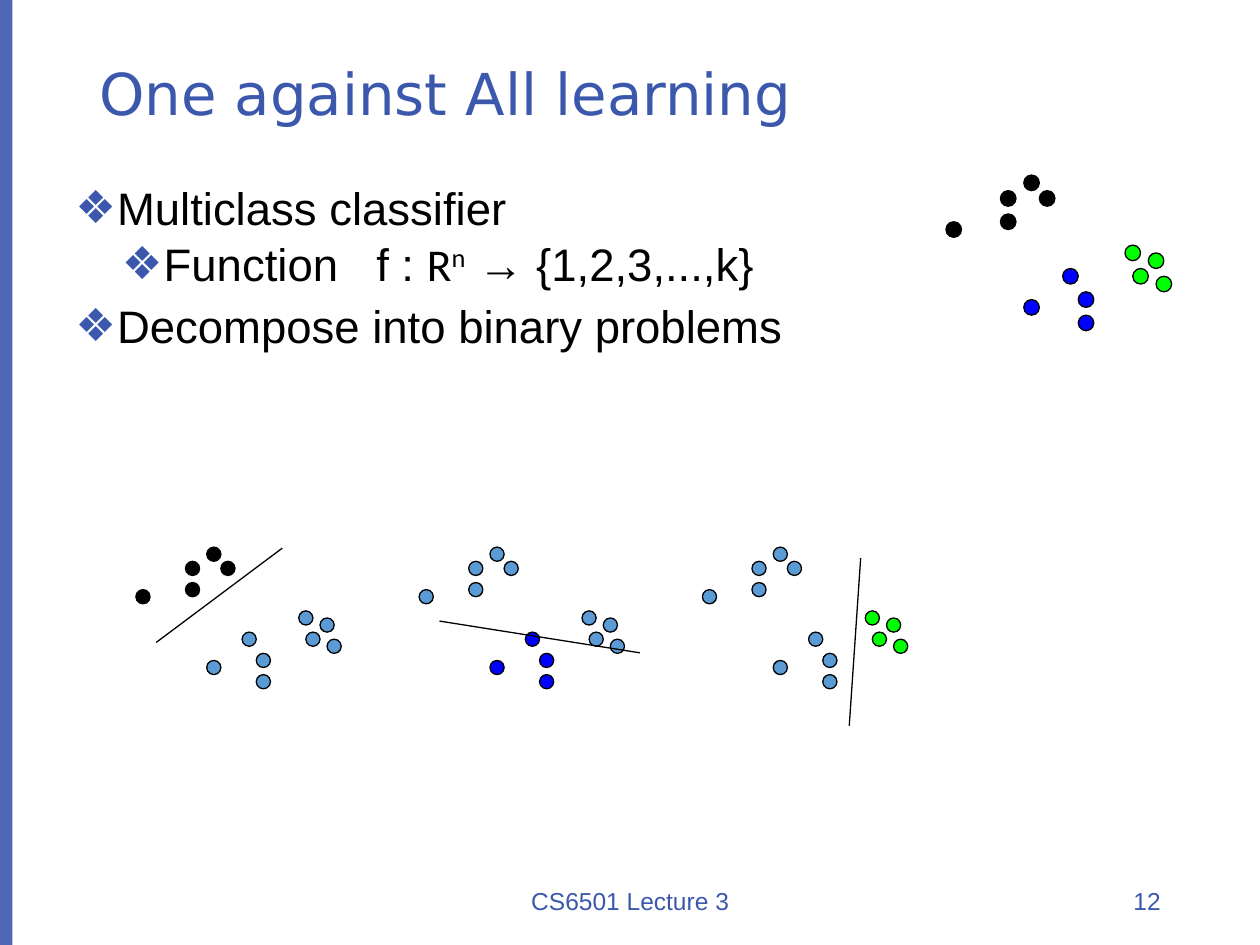
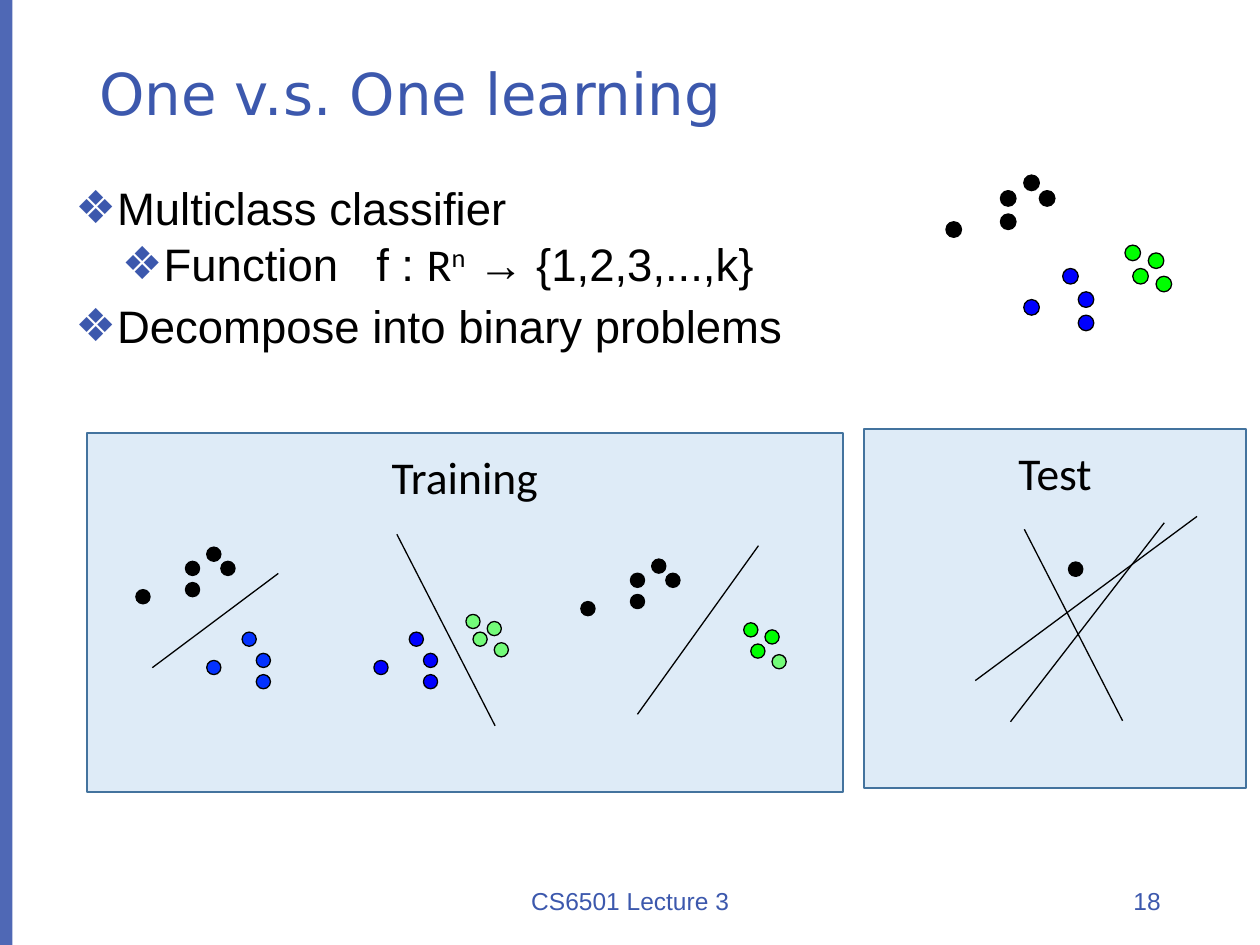
from lxml import etree
from pptx import Presentation
from pptx.dml.color import RGBColor
from pptx.enum.shapes import MSO_CONNECTOR, MSO_SHAPE
from pptx.enum.text import MSO_ANCHOR, PP_ALIGN
from pptx.oxml.ns import qn
from pptx.util import Cm, Pt

RECT, OVAL = MSO_SHAPE.RECTANGLE, MSO_SHAPE.OVAL
STRAIGHT = MSO_CONNECTOR.STRAIGHT
TOP, MIDDLE = MSO_ANCHOR.TOP, MSO_ANCHOR.MIDDLE
LEFT, CENTER, RIGHT = PP_ALIGN.LEFT, PP_ALIGN.CENTER, PP_ALIGN.RIGHT

ACCENT = RGBColor(0x3C, 0x58, 0xAD)
BLACK = RGBColor(0x00, 0x00, 0x00)
BLUE = RGBColor(0x00, 0x00, 0xFF)
BRIGHT_BLUE = RGBColor(0x04, 0x32, 0xFF)
GREEN = RGBColor(0x00, 0xFF, 0x00)
LIGHT_GREEN = RGBColor(0x73, 0xFB, 0x79)
REST = RGBColor(0x5B, 0x9B, 0xD5)
PANEL_FILL = RGBColor(0xDE, 0xEB, 0xF7)
PANEL_LINE = RGBColor(0x43, 0x73, 0x9E)

CLASS_A = [(0, 6), (7, 2), (10, 0), (12, 2), (7, 5)]
CLASS_B = [(10, 16), (15, 12), (17, 15), (17, 18)]
CLASS_C = [(23, 9), (24, 12), (26, 10), (27, 13)]
CLASS_C_LOW = [(23, 9.5), (24, 12), (26, 10.5), (27, 13.5)]
CLOUD_STEPS = 29
SMALL = 4.14

BULLETS = [
    (0, [("Multiclass classifier", {})]),
    (1, [("Function", {}), (" ", {"spacing": 14.4}), ("f : ", {}),
         ("R", {"font": "Calibri"}), ("n", {"font": "Calibri", "base": 30}),
         (" → {1,2,3,...,k}", {})]),
    (0, [("Decompose into binary problems", {})]),
]
HANG = 0.84
LEVELS = [(0.84, 7.5), (1.78, 3.8)]


def put(p, text, size=26, font="Arial", color=BLACK, base=0, spacing=0):
    r = p.add_run()
    r.text = text
    r.font.size = Pt(size)
    r.font.name = font
    r.font.color.rgb = color
    rPr = r.font._element
    if base:
        rPr.set("baseline", str(base * 1000))
    if spacing:
        rPr.set("spc", str(round(spacing * 100)))


class Deck:
    def __init__(self, prs):
        self.prs = prs
        self.s = None

    def slide(self, title, number):
        self.s = self.prs.slides.add_slide(self.prs.slide_layouts[6])
        band = self.shape(RECT, 0, 0, 0.25, 19.05, ACCENT)
        color = band.fill._xPr.find(".//" + qn("a:srgbClr"))
        etree.SubElement(color, qn("a:alpha"), val="90000")
        p = self.text(1.75, 1.02, 21.89, 1.88, title, size=33,
                      font="DejaVu Sans", color=ACCENT)
        p.line_spacing = 0.9
        self.text(8.41, 17.65, 8.59, 1.02, "CS6501 Lecture 3", CENTER,
                  size=14, color=ACCENT)
        self.text(17.93, 17.65, 5.72, 1.02, number, RIGHT,
                  size=14, color=ACCENT)
        self.bullets()
        self.cloud(19.07, 3.53, 4.55, (CLASS_A, BLACK), (CLASS_B, BLUE),
                   (CLASS_C, GREEN))

    def shape(self, kind, x, y, w, h, fill, line=None, weight=0.75, parent=None):
        shapes = (parent or self.s).shapes
        sp = shapes.add_shape(kind, Cm(x), Cm(y), Cm(w), Cm(h))
        sp.shadow.inherit = False
        sp.fill.solid()
        sp.fill.fore_color.rgb = fill
        if line is None:
            sp.line.fill.background()
        else:
            sp.line.color.rgb = line
            sp.line.width = Pt(weight)
        return sp

    def frame(self, x, y, w, h, anchor):
        tf = self.s.shapes.add_textbox(Cm(x), Cm(y), Cm(w), Cm(h)).text_frame
        tf.word_wrap = True
        tf.vertical_anchor = anchor
        return tf

    def text(self, x, y, w, h, text, align=LEFT, **style):
        p = self.frame(x, y, w, h, MIDDLE).paragraphs[0]
        p.alignment = align
        put(p, text, **style)
        return p

    def bullets(self):
        tf = self.frame(1.27, 3.63, 22.86, 13.34, TOP)
        for i, (level, runs) in enumerate(BULLETS):
            p = tf.add_paragraph() if i else tf.paragraphs[0]
            margin, before = LEVELS[level]
            p.level = level
            p.line_spacing = 0.9
            if i:
                p.space_before = Pt(before)
            pPr = p._p.get_or_add_pPr()
            pPr.set("marL", str(Cm(margin)))
            pPr.set("indent", str(-Cm(HANG)))
            color = etree.SubElement(pPr, qn("a:buClr"))
            etree.SubElement(color, qn("a:srgbClr"), val=str(ACCENT))
            etree.SubElement(pPr, qn("a:buFont"), typeface="DejaVu Sans")
            etree.SubElement(pPr, qn("a:buChar"), char="❖")
            for text, style in runs:
                put(p, text, **style)

    def dot(self, x, y, size, color, parent=None):
        self.shape(OVAL, x, y, size, size, color, BLACK, parent=parent)

    def cloud(self, x, y, width, *classes):
        step = width / CLOUD_STEPS
        group = self.s.shapes.add_group_shape()
        for points, color in classes:
            for col, row in points:
                self.dot(x + col * step, y + row * step, 2 * step, color, group)

    def line(self, x1, y1, x2, y2):
        c = self.s.shapes.add_connector(STRAIGHT, Cm(x1), Cm(y1), Cm(x2), Cm(y2))
        c.line.color.rgb = BLACK
        c.line.width = Pt(0.75)
        etree.SubElement(c._element.spPr, qn("a:effectLst"))

    def panel(self, x, y, w, label):
        tf = self.shape(RECT, x, y, w, 7.24, PANEL_FILL, PANEL_LINE, 1).text_frame
        tf.word_wrap = True
        tf.vertical_anchor = TOP
        tf.margin_top = Cm(0.32)
        p = tf.paragraphs[0]
        p.alignment = CENTER
        put(p, label, font="Calibri")


def one_against_all(deck):
    deck.slide("One against All learning", "12")
    classes = [(CLASS_A, BLACK), (CLASS_B, BLUE), (CLASS_C, GREEN)]
    for i in range(len(classes)):
        shown = [(points, color if j == i else REST)
                 for j, (points, color) in enumerate(classes)]
        deck.cloud(2.74 + i * 5.71, 11.03, SMALL, *shown)
    deck.line(5.69, 11.05, 3.15, 12.95)
    deck.line(8.86, 12.52, 12.9, 13.16)
    deck.line(17.35, 11.25, 17.12, 14.63)


def one_vs_one(deck):
    deck.slide("One v.s. One learning", "18")
    deck.panel(1.75, 8.73, 15.24, "Training")
    deck.cloud(2.74, 11.03, SMALL, (CLASS_A, BLACK), (CLASS_B, BRIGHT_BLUE))
    deck.cloud(6.11, 11.03, SMALL, (CLASS_B, BLUE), (CLASS_C_LOW, LIGHT_GREEN))
    deck.cloud(11.71, 11.27, SMALL, (CLASS_A, BLACK), (CLASS_C[:3], GREEN),
               (CLASS_C_LOW[3:], LIGHT_GREEN))
    deck.line(5.61, 11.56, 3.07, 13.46)
    deck.line(8, 10.77, 9.98, 14.63)
    deck.line(15.29, 11, 12.85, 14.4)

    deck.panel(17.42, 8.65, 7.7, "Test")
    deck.line(20.65, 10.67, 22.63, 14.53)
    deck.line(24.13, 10.41, 19.66, 13.72)
    deck.line(23.47, 10.54, 20.37, 14.55)
    deck.dot(21.54, 11.33, 0.29, BLACK)


def main():
    prs = Presentation()
    prs.slide_width, prs.slide_height = Cm(25.4), Cm(19.05)
    deck = Deck(prs)
    one_against_all(deck)
    one_vs_one(deck)
    prs.save("out.pptx")


if __name__ == "__main__":
    main()
